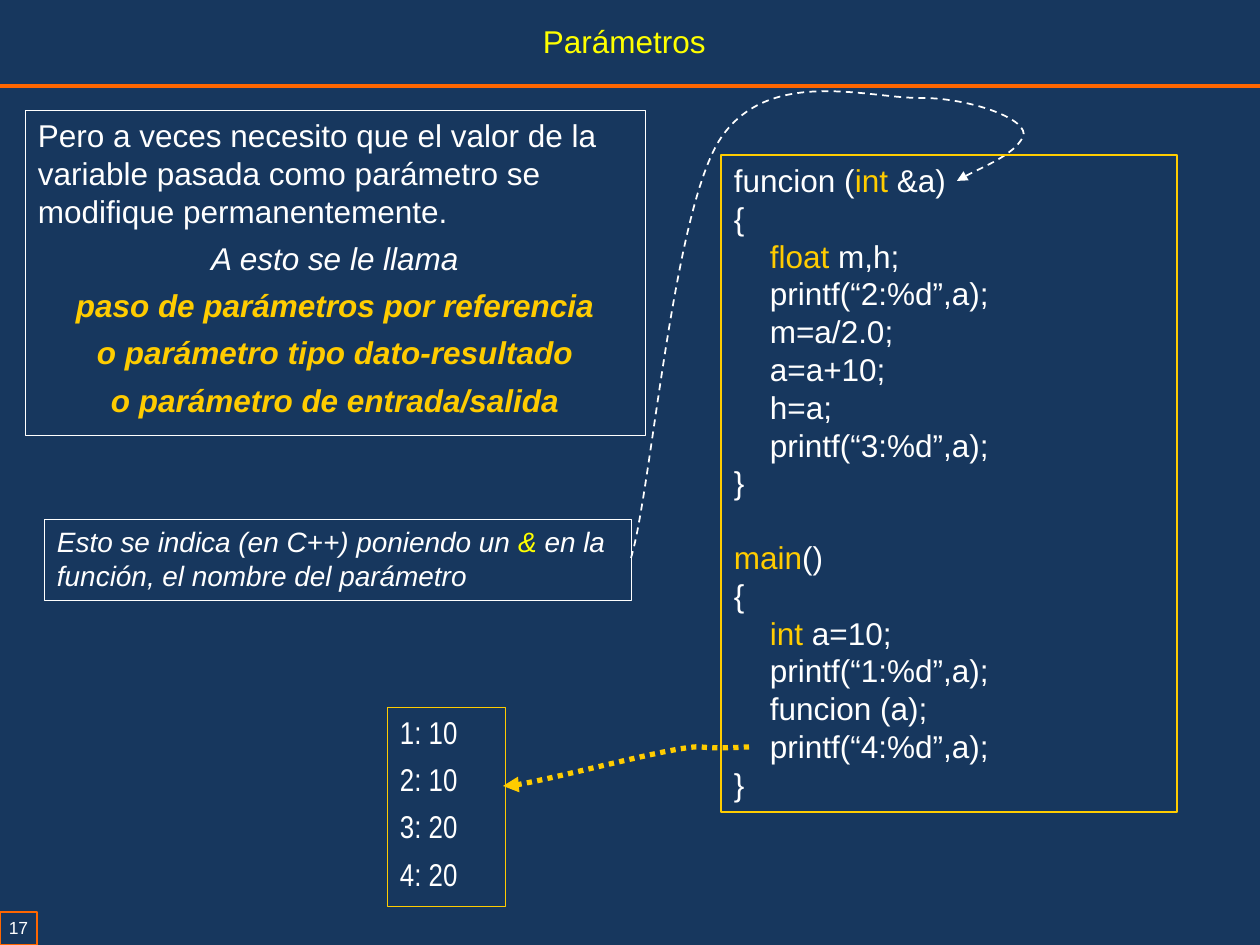
"""Build the slide on passing parameters by reference."""
from lxml import etree
from pptx import Presentation
from pptx.dml.color import RGBColor
from pptx.enum.dml import MSO_LINE
from pptx.enum.shapes import MSO_CONNECTOR, MSO_SHAPE
from pptx.enum.text import MSO_ANCHOR, PP_ALIGN
from pptx.oxml.ns import qn
from pptx.util import Pt

PX = 914400 / 126
WIDE, HIGH = 1260, 945
NAVY = RGBColor(0x17, 0x37, 0x5E)
WHITE = RGBColor(0xFF, 0xFF, 0xFF)
YELLOW = RGBColor(0xFF, 0xFF, 0x00)
GOLD = RGBColor(0xFF, 0xCC, 0x00)
ORANGE = RGBColor(0xFF, 0x66, 0x00)
LEFT, MID = PP_ALIGN.LEFT, PP_ALIGN.CENTER
RECT, STRAIGHT, TOP = MSO_SHAPE.RECTANGLE, MSO_CONNECTOR.STRAIGHT, MSO_ANCHOR.TOP
DASH, DOT = MSO_LINE.DASH, MSO_LINE.ROUND_DOT
GAP = 5.4
TAB = 36

TITLE = "Parámetros"
NUMBER = "17"
INTRO = ("Pero a veces necesito que el valor de la variable pasada "
         "como parámetro se modifique permanentemente.")
CALLED = "A esto se le llama"
TERMS = ["paso de parámetros por referencia",
         "o parámetro tipo dato-resultado",
         "o parámetro de entrada/salida"]
NOTE = [("Esto se indica (en C++) poniendo un ", WHITE), ("& ", YELLOW),
        ("en la función, el nombre del parámetro", WHITE)]
CODE = [
    (0, [("funcion (", WHITE), ("int ", GOLD), ("&a)", WHITE)]),
    (0, "{"),
    (1, [("float", GOLD), (" m,h;", WHITE)]),
    (1, "printf(“2:%d”,a);"),
    (1, "m=a/2.0;"),
    (1, "a=a+10;"),
    (1, "h=a;"),
    (1, "printf(“3:%d”,a);"),
    (0, "}"),
    (0, [("main", GOLD), ("()", WHITE)]),
    (0, "{"),
    (1, [("int", GOLD), (" a=10;", WHITE)]),
    (1, "printf(“1:%d”,a);"),
    (1, "funcion (a);"),
    (1, "printf(“4:%d”,a);"),
    (0, "}"),
]
OUTPUT = ["1: 10", "2: 10", "3: 20", "4: 20"]

RESULT = [(749, 747), (741, 747), (721, 749), (701, 747),
          (682, 744), (518, 789), (503, 786)]
REFER = [(631, 558), (651, 493), (672, 218), (719, 141),
         (767, 65), (870, 99), (921, 98),
         (971, 98), (1031, 120), (1023, 137),
         (1014, 155), (973, 171), (957, 181)]


def emu(*vals):
    return [round(v * PX) for v in vals]


def stroke(line, color, width, dash=None):
    line.color.rgb = color
    line.width = Pt(width)
    if dash:
        line.dash_style = dash


def box(shapes, at, edge=None, width=0.25, pad=(13, 6), wrap=True):
    if edge:
        shape = shapes.add_shape(RECT, *emu(*at))
        shape.shadow.inherit = False
        shape.fill.background()
        stroke(shape.line, edge, width)
    else:
        shape = shapes.add_textbox(*emu(*at))
    frame = shape.text_frame
    frame.word_wrap = wrap
    frame.vertical_anchor = TOP
    frame.margin_left = frame.margin_right = emu(pad[0])[0]
    frame.margin_top = frame.margin_bottom = emu(pad[1])[0]
    return frame


def write(frame, text, size=18, font="Arial", color=WHITE, bold=False,
          italic=False, align=LEFT, before=0, after=0, level=0):
    para = frame.paragraphs[0]
    if para.runs:
        para = frame.add_paragraph()
    para.alignment = align
    para.space_before, para.space_after = Pt(before), Pt(after)
    para.level = level
    if level:
        props = para._p.get_or_add_pPr()
        props.set("marL", str(emu(TAB * level)[0]))
        props.set("indent", "0")
    for words, tint in [(text, color)] if isinstance(text, str) else text:
        run = para.add_run()
        run.text = words
        style = run.font
        style.size, style.name = Pt(size), font
        style.bold, style.italic = bold, italic
        style.color.rgb = tint


def curve(shapes, points, color, width, dash):
    pen = shapes.build_freeform(*points[0], scale=PX)
    pen.add_line_segments(points[1:], close=False)
    shape = pen.convert_to_shape()
    shape.shadow.inherit = False
    shape.fill.background()
    stroke(shape.line, color, width, dash)
    tail = etree.SubElement(shape.line._get_or_add_ln(), qn("a:tailEnd"))
    tail.set("type", "triangle")
    route = shape._element.find(".//" + qn("a:path"))
    steps = route.findall(qn("a:lnTo"))
    for i in range(0, len(steps), 3):
        bend = etree.SubElement(route, qn("a:cubicBezTo"))
        for step in steps[i:i + 3]:
            bend.append(step[0])
            route.remove(step)


def main():
    deck = Presentation()
    deck.slide_width, deck.slide_height = emu(WIDE, HIGH)
    slide = deck.slides.add_slide(deck.slide_layouts[6])
    slide.background.fill.solid()
    slide.background.fill.fore_color.rgb = NAVY
    shapes = slide.shapes

    rule = shapes.add_connector(STRAIGHT, *emu(0, 86, WIDE, 86))
    stroke(rule.line, ORANGE, 2)
    etree.SubElement(rule._element.spPr, qn("a:effectLst"))
    page = box(shapes, (0, 912, 37, 33), ORANGE, 0.75, (3, 5), False)
    write(page, NUMBER, size=10, align=MID)

    lesson = box(shapes, (25, 110, 620, 325), WHITE)
    write(lesson, INTRO, after=GAP)
    write(lesson, CALLED, italic=True, align=MID, after=GAP)
    for term in TERMS:
        write(lesson, term, color=GOLD, bold=True, italic=True,
              align=MID, after=GAP)

    note = box(shapes, (44, 519, 587, 81), WHITE)
    write(note, NOTE, size=16, italic=True)

    curve(shapes, RESULT, GOLD, 3, DOT)
    curve(shapes, REFER, WHITE, 1, DASH)
    write(box(shapes, (530, 16, 189, 50), wrap=False), TITLE, color=YELLOW)

    code = box(shapes, (721, 155, 456, 657), GOLD, 0.75)
    for i, (level, text) in enumerate(CODE):
        ended = i > 0 and CODE[i - 1][1] == "}"
        write(code, text, level=level, before=21 if ended else 0)

    screen = box(shapes, (387, 707, 118, 199), GOLD)
    for row in OUTPUT:
        write(screen, row, font="Arial Narrow", after=GAP)

    deck.save("out.pptx")


if __name__ == "__main__":
    main()
